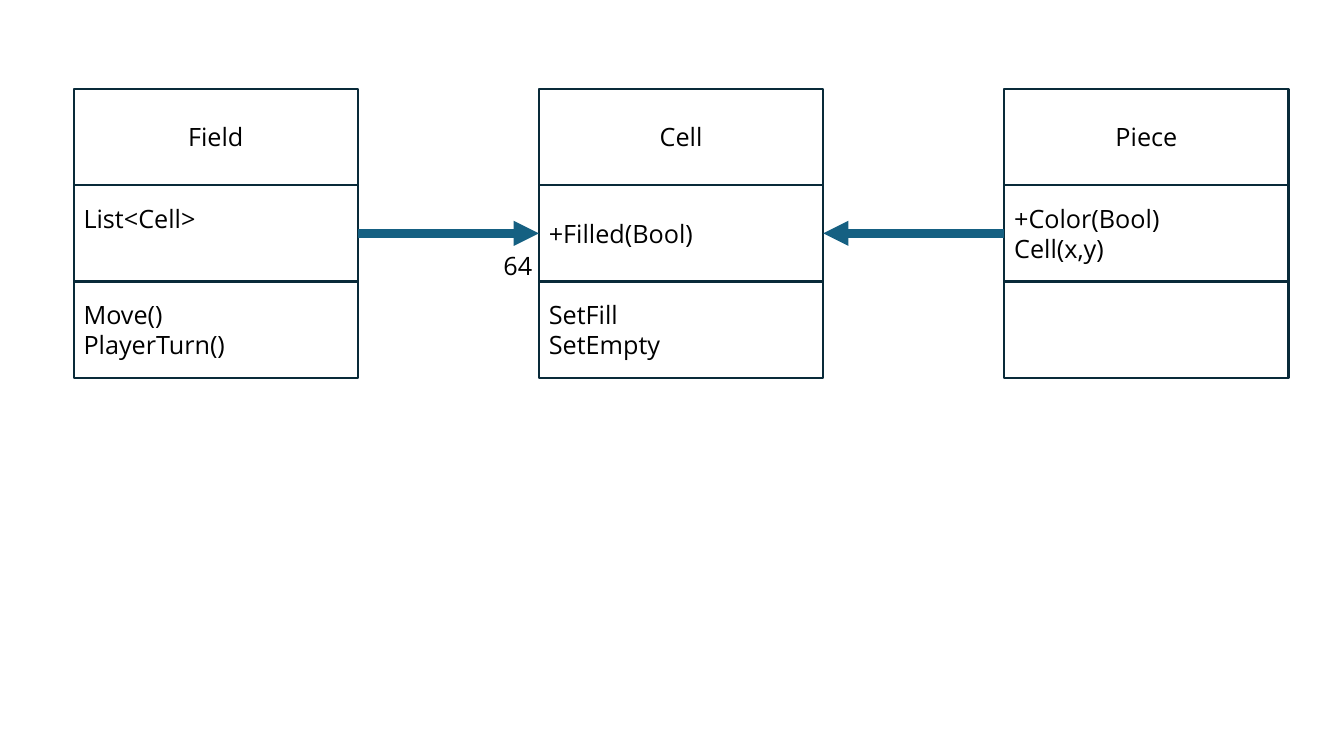
from dataclasses import dataclass

from lxml.etree import SubElement
from pptx import Presentation
from pptx.dml.color import RGBColor
from pptx.enum.shapes import MSO_CONNECTOR, MSO_SHAPE
from pptx.enum.text import MSO_ANCHOR, MSO_AUTO_SIZE, PP_ALIGN
from pptx.oxml.ns import qn
from pptx.util import Inches, Pt


@dataclass(frozen=True)
class Theme:
    font: str = "Open Sans"
    text_size: float = 18
    text_color: RGBColor = RGBColor(0x00, 0x00, 0x00)
    border_color: RGBColor = RGBColor(0x09, 0x2A, 0x39)
    border_width: float = 1.5
    arrow_color: RGBColor = RGBColor(0x15, 0x60, 0x82)
    arrow_width: float = 6


THEME = Theme()
RIGHT, LEFT = 3, 1

CLASS_LEFT, CLASS_TOP = 0.73, 0.88
CLASS_WIDTH, CLASS_HEIGHT = 2.82, 2.87
CLASS_PITCH = 4.615
CLASSES = [
    ("Field", ["List<Cell>"], ["Move()", "PlayerTurn()"]),
    ("Cell", ["+Filled(Bool)"], ["SetFill", "SetEmpty"]),
    ("Piece", ["+Color(Bool)", "Cell(x,y)"], []),
]


def write_text(shape, lines, align=PP_ALIGN.LEFT, anchor=MSO_ANCHOR.MIDDLE, wrap=True):
    frame = shape.text_frame
    frame.word_wrap = wrap
    frame.vertical_anchor = anchor
    for index, line in enumerate(lines):
        para = frame.add_paragraph() if index else frame.paragraphs[0]
        para.alignment = align
        span = para.add_run()
        span.text = line
        span.font.name = THEME.font
        span.font.size = Pt(THEME.text_size)
        span.font.color.rgb = THEME.text_color


def add_compartment(page, left, top, width, height, lines, **text_format):
    box = page.shapes.add_shape(
        MSO_SHAPE.RECTANGLE, Inches(left), Inches(top), Inches(width), Inches(height)
    )
    box.shadow.inherit = False
    box.fill.background()
    box.line.color.rgb = THEME.border_color
    box.line.width = Pt(THEME.border_width)
    write_text(box, lines, **text_format)
    return box


def add_class(page, left, top, width, height, name, attributes, methods):
    row = height / 3
    add_compartment(page, left, top, width, row, [name], align=PP_ALIGN.CENTER)
    attribute_box = add_compartment(page, left, top + row, width, row, attributes)
    add_compartment(page, left, top + 2 * row, width, row, methods)
    return attribute_box


def add_arrow(page, start, start_side, end, end_side):
    arrow = page.shapes.add_connector(MSO_CONNECTOR.STRAIGHT, 0, 0, 0, 0)
    arrow.begin_connect(start, start_side)
    arrow.end_connect(end, end_side)
    arrow.line.color.rgb = THEME.arrow_color
    arrow.line.width = Pt(THEME.arrow_width)
    SubElement(arrow.line._get_or_add_ln(), qn("a:tailEnd"), type="triangle")
    SubElement(arrow._element.spPr, qn("a:effectLst"))


def add_multiplicity(page, left, top, width, height, label):
    box = page.shapes.add_textbox(
        Inches(left), Inches(top), Inches(width), Inches(height)
    )
    write_text(box, [label], anchor=MSO_ANCHOR.TOP)
    box.text_frame.auto_size = MSO_AUTO_SIZE.SHAPE_TO_FIT_TEXT


def build_class_diagram(page, left, top, width, height):
    field, cell, piece = [
        add_class(page, left + index * CLASS_PITCH, top, width, height, *parts)
        for index, parts in enumerate(CLASSES)
    ]
    field.text_frame.margin_bottom = Inches(0.35)
    add_arrow(page, field, RIGHT, cell, LEFT)
    add_arrow(page, piece, LEFT, cell, RIGHT)
    add_multiplicity(page, left + CLASS_PITCH - 0.45, top + 1.55, 0.53, 0.4, "64")


def main():
    deck = Presentation()
    deck.slide_width = Inches(13.33)
    deck.slide_height = Inches(7.5)
    page = deck.slides.add_slide(deck.slide_layouts[6])
    build_class_diagram(page, CLASS_LEFT, CLASS_TOP, CLASS_WIDTH, CLASS_HEIGHT)
    deck.save("out.pptx")


if __name__ == "__main__":
    main()
